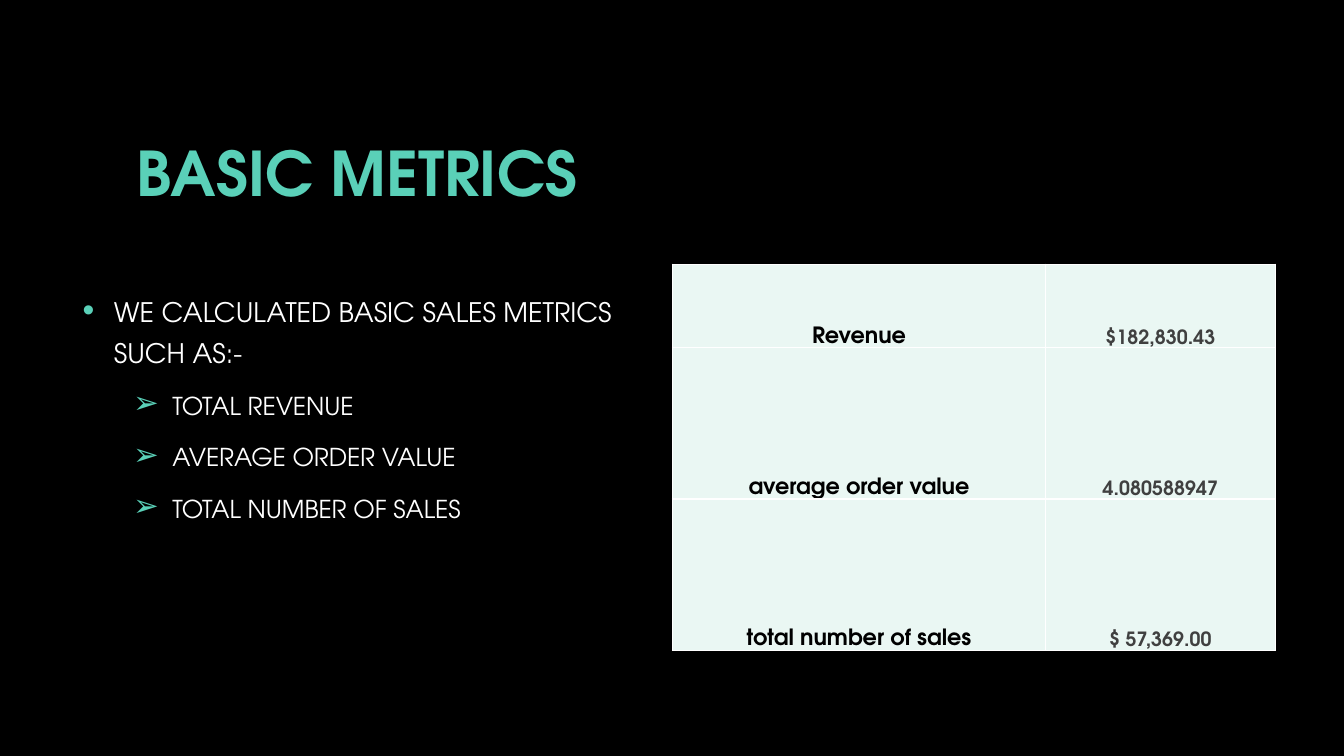
from pptx import Presentation
from pptx.dml.color import RGBColor
from pptx.enum.text import MSO_ANCHOR, MSO_AUTO_SIZE, PP_ALIGN
from pptx.oxml import parse_xml
from pptx.oxml.ns import nsdecls, qn
from pptx.util import Inches, Pt

TITLE = "BASIC METRICS"
INTRO = "we calculated basic sales metrics such as:-"
METRICS = ["total revenue", "average order value", "total number of sales"]
RESULTS = [
    ("Revenue", "$182,830.43"),
    ("average order value", "4.080588947"),
    ("total number of sales", "$ 57,369.00"),
]
COLUMN_WIDTHS = [3.7, 2.28]
ROW_HEIGHTS = [0.83, 1.5, 1.5]
COLUMN_STYLES = [(16, "label"), (14, "value")]

FONT = "TeX Gyre Adventor"
COLORS = {
    "background": "000000",
    "accent": "5AD0B8",
    "text": "FFFFFF",
    "cell": "EAF7F3",
    "label": "000000",
    "value": "404040",
}


def color(key):
    return RGBColor.from_string(COLORS[key])


def place(shape, left, top, width, height):
    shape.left, shape.top = Inches(left), Inches(top)
    shape.width, shape.height = Inches(width), Inches(height)


def style(paragraph, size, key, bold=False):
    font = paragraph.font
    font.name, font.size, font.bold = FONT, Pt(size), bold
    font.color.rgb = color(key)


def add_bullet(paragraph, mark, indent, hanging):
    properties = paragraph._p.get_or_add_pPr()
    properties.set("marL", str(Inches(indent)))
    properties.set("indent", str(-Inches(hanging)))
    ns = nsdecls("a")
    properties.append(parse_xml(
        f'<a:buClr {ns}><a:srgbClr val="{COLORS["accent"]}"/></a:buClr>'))
    properties.append(parse_xml(f'<a:buFont {ns} typeface="Arial"/>'))
    properties.append(parse_xml(f'<a:buChar {ns} char="{mark}"/>'))


def set_small_caps(paragraph):
    paragraph._p.pPr.find(qn("a:defRPr")).set("cap", "small")


def add_title(slide):
    title = slide.shapes.title
    place(title, 1.25, 0.67, 10.83, 2.08)
    title.text_frame.text = TITLE
    title.text_frame.vertical_anchor = MSO_ANCHOR.MIDDLE
    heading = title.text_frame.paragraphs[0]
    heading.alignment = PP_ALIGN.LEFT
    style(heading, 44, "accent", bold=True)


def add_metric_list(slide):
    body = slide.placeholders[1]
    place(body, 0.72, 2.82, 5.83, 3.63)
    frame = body.text_frame
    frame.auto_size = MSO_AUTO_SIZE.NONE
    frame.vertical_anchor = MSO_ANCHOR.TOP
    frame.text = "\n".join([INTRO, *METRICS])
    for number, paragraph in enumerate(frame.paragraphs):
        if number == 0:
            add_bullet(paragraph, "•", 0.31, 0.31)
            size, before = 24, 0
        else:
            paragraph.level = 1
            add_bullet(paragraph, "➢", 0.89, 0.39)
            size, before = 22, 4.4
        paragraph.space_before, paragraph.space_after = Pt(before), Pt(6)
        style(paragraph, size, "text")
        set_small_caps(paragraph)


def add_results_table(slide):
    table = slide.shapes.add_table(
        len(RESULTS), len(COLUMN_WIDTHS), Inches(6.67), Inches(2.62),
        Inches(sum(COLUMN_WIDTHS)), Inches(sum(ROW_HEIGHTS))).table
    table.first_row = table.horz_banding = False
    for column, width in zip(table.columns, COLUMN_WIDTHS):
        column.width = Inches(width)
    for row, height, result in zip(table.rows, ROW_HEIGHTS, RESULTS):
        row.height = Inches(height)
        for cell, entry, (size, key) in zip(row.cells, result, COLUMN_STYLES):
            cell.text = entry
            cell.fill.solid()
            cell.fill.fore_color.rgb = color("cell")
            cell.vertical_anchor = MSO_ANCHOR.BOTTOM
            cell.margin_left = cell.margin_right = cell.margin_top = Inches(0.01)
            cell.margin_bottom = 0
            paragraph = cell.text_frame.paragraphs[0]
            paragraph.alignment = PP_ALIGN.CENTER
            style(paragraph, size, key, bold=True)


def main():
    deck = Presentation()
    deck.slide_width, deck.slide_height = Inches(13.33), Inches(7.5)
    slide = deck.slides.add_slide(deck.slide_layouts[1])
    slide.background.fill.solid()
    slide.background.fill.fore_color.rgb = color("background")
    add_title(slide)
    add_metric_list(slide)
    add_results_table(slide)
    deck.save("out.pptx")


if __name__ == "__main__":
    main()
